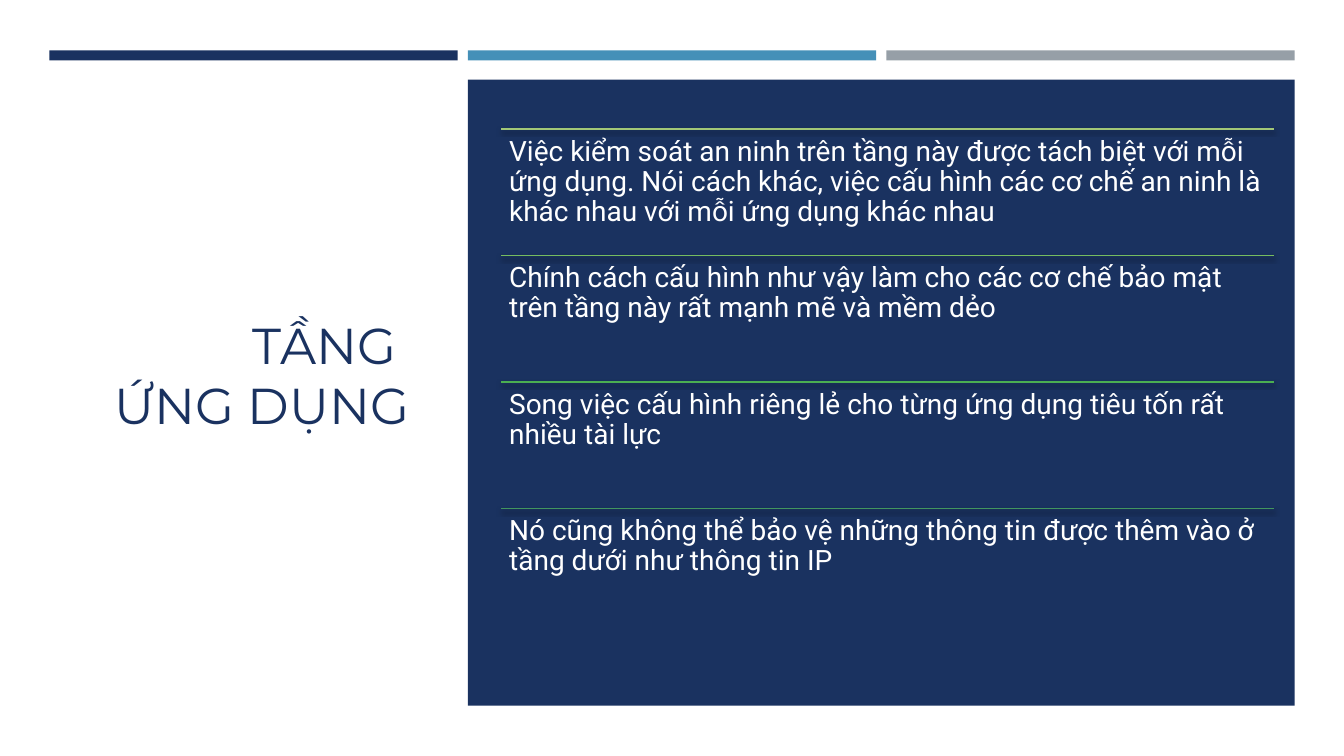
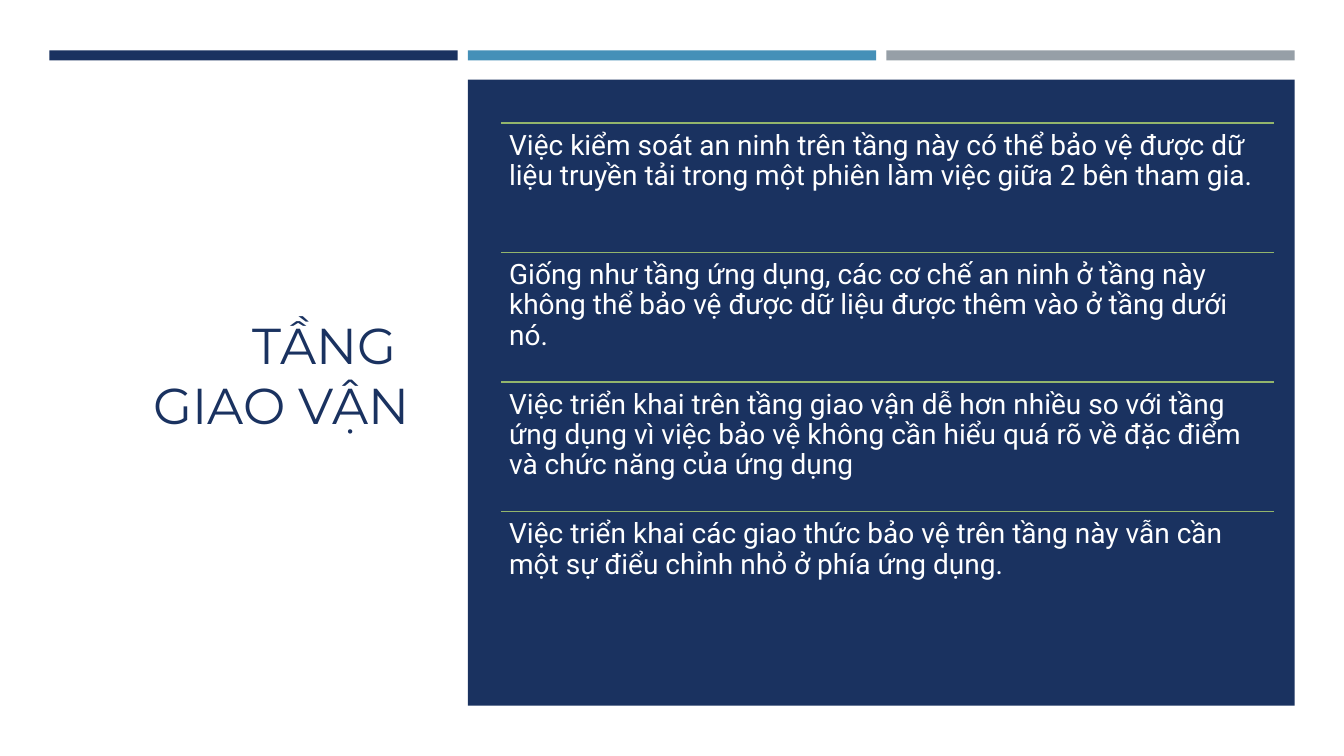
from lxml import etree
from pptx import Presentation
from pptx.dml.color import RGBColor
from pptx.enum.shapes import MSO_CONNECTOR as CONN, MSO_SHAPE as SHAPE
from pptx.enum.text import MSO_ANCHOR as ANCHOR, MSO_AUTO_SIZE as AUTO, PP_ALIGN as ALIGN
from pptx.oxml.ns import qn
from pptx.util import Inches, Pt

COLORS = {
    "navy": "1A3260", "blue": "4590B8", "gray": "969FA7", "white": "FFFFFF",
    "lime": "A2C777", "leaf": "76BC60", "green": "4BAE51", "pine": "42955F",
    "olive": "93B56C", "black": "000000",
}
TITLE_FONT, BODY_FONT = "Montserrat", "Roboto"
WIDTH, HEIGHT = 13.33, 7.5
MARGIN, COL_W, GAP = 0.49, 4.05, 0.1
BAND_TOP, BAND_H = 0.5, 0.1
PANEL_TOP, PANEL_H = 0.79, 6.21
LIST_LEFT, LIST_W, LIST_MIDDLE = 4.97, 7.67, 3.79

SLIDES = [
    {
        "title": "TẦNG \vỨNG DỤNG",
        "list_height": 5.02,
        "rules": ["lime", "leaf", "green", "pine"],
        "shadow": True,
        "items": [
            "Việc kiểm soát an ninh trên tầng này được tách biệt với mỗi ứng dụng. Nói cách khác, "
            "việc cấu hình các cơ chế an ninh là khác nhau với mỗi ứng dụng khác nhau",
            "Chính cách cấu hình như vậy làm cho các cơ chế bảo mật trên tầng này rất mạnh mẽ "
            "và mềm dẻo",
            "Song việc cấu hình riêng lẻ cho từng ứng dụng tiêu tốn rất nhiều tài lực",
            "Nó cũng không thể bảo vệ những thông tin được thêm vào ở tầng dưới như thông tin IP",
        ],
    },
    {
        "title": "TẦNG \vGIAO VẬN",
        "list_height": 5.14,
        "rules": ["olive"] * 4,
        "shadow": False,
        "items": [
            "Việc kiểm soát an ninh trên tầng này có thể bảo vệ được dữ liệu truyền tải trong "
            "một phiên làm việc giữa 2 bên tham gia.",
            "Giống như tầng ứng dụng, các cơ chế an ninh ở tầng này không thể bảo vệ được dữ liệu "
            "được thêm vào ở tầng dưới nó.",
            "Việc triển khai trên tầng giao vận dễ hơn nhiều so với tầng ứng dụng vì việc bảo vệ "
            "không cần hiểu quá rõ về đặc điểm và chức năng của ứng dụng",
            "Việc triển khai các giao thức bảo vệ trên tầng này vẫn cần một sự điểu chỉnh nhỏ "
            "ở phía ứng dụng.",
        ],
    },
]


def rgb(name):
    return RGBColor.from_string(COLORS[name])


def col(i):
    return MARGIN + i * (COL_W + GAP)


def box(*lengths):
    return [Inches(v) for v in lengths]


def style(p, font, size, color):
    p.font.name, p.font.size = font, Pt(size)
    p.font.color.rgb = rgb(color)


def add_rect(s, x, y, w, h, color):
    sp = s.shapes.add_shape(SHAPE.RECTANGLE, *box(x, y, w, h))
    sp.shadow.inherit = False
    sp.fill.solid()
    sp.fill.fore_color.rgb = rgb(color)
    sp.line.fill.background()


def add_rule(s, x, y, w, color, shadow):
    line = s.shapes.add_connector(CONN.STRAIGHT, *box(x, y, x + w, y))
    line.line.color.rgb = rgb(color)
    line.line.width = Pt(1)
    effects = etree.SubElement(line._element.spPr, qn("a:effectLst"))
    if shadow:
        outer = etree.SubElement(effects, qn("a:outerShdw"), blurRad=str(Pt(3)),
                                 dist=str(Pt(2)), dir="5400000", rotWithShape="0")
        tint = etree.SubElement(outer, qn("a:srgbClr"), val=COLORS["black"])
        etree.SubElement(tint, qn("a:alpha"), val="55000")


def add_item(s, x, y, w, h, text):
    tf = s.shapes.add_textbox(*box(x, y, w, h)).text_frame
    tf.word_wrap = True
    tf.margin_left = tf.margin_right = tf.margin_top = tf.margin_bottom = Inches(0.08)
    p = tf.paragraphs[0]
    p.text = text
    p.line_spacing = 0.9
    style(p, BODY_FONT, 20, "white")


def add_title(s, text):
    title = s.shapes.title
    title.left, title.top, title.width, title.height = box(0.82, 1.14, 3.34, 5.15)
    tf = title.text_frame
    tf.word_wrap, tf.auto_size = True, AUTO.NONE
    tf.vertical_anchor = ANCHOR.MIDDLE
    p = tf.paragraphs[0]
    p.text = text
    p.alignment = ALIGN.RIGHT
    style(p, TITLE_FONT, 36, "navy")


def add_frame(s):
    s.background.fill.solid()
    s.background.fill.fore_color.rgb = rgb("white")
    for i, color in enumerate(["navy", "blue", "gray"]):
        add_rect(s, col(i), BAND_TOP, COL_W, BAND_H, color)
    add_rect(s, col(1), PANEL_TOP, 2 * COL_W + GAP, PANEL_H, "navy")


def add_list(s, items, rules, height, shadow):
    row_h = height / len(items)
    top = LIST_MIDDLE - height / 2
    for i, (text, color) in enumerate(zip(items, rules)):
        y = top + i * row_h
        add_rule(s, LIST_LEFT, y, LIST_W, color, shadow)
        add_item(s, LIST_LEFT, y, LIST_W, row_h, text)


def main():
    prs = Presentation()
    prs.slide_width, prs.slide_height = box(WIDTH, HEIGHT)
    for content in SLIDES:
        s = prs.slides.add_slide(prs.slide_layouts[5])
        add_title(s, content["title"])
        add_frame(s)
        add_list(s, content["items"], content["rules"], content["list_height"],
                 content["shadow"])
    prs.save("out.pptx")


if __name__ == "__main__":
    main()
